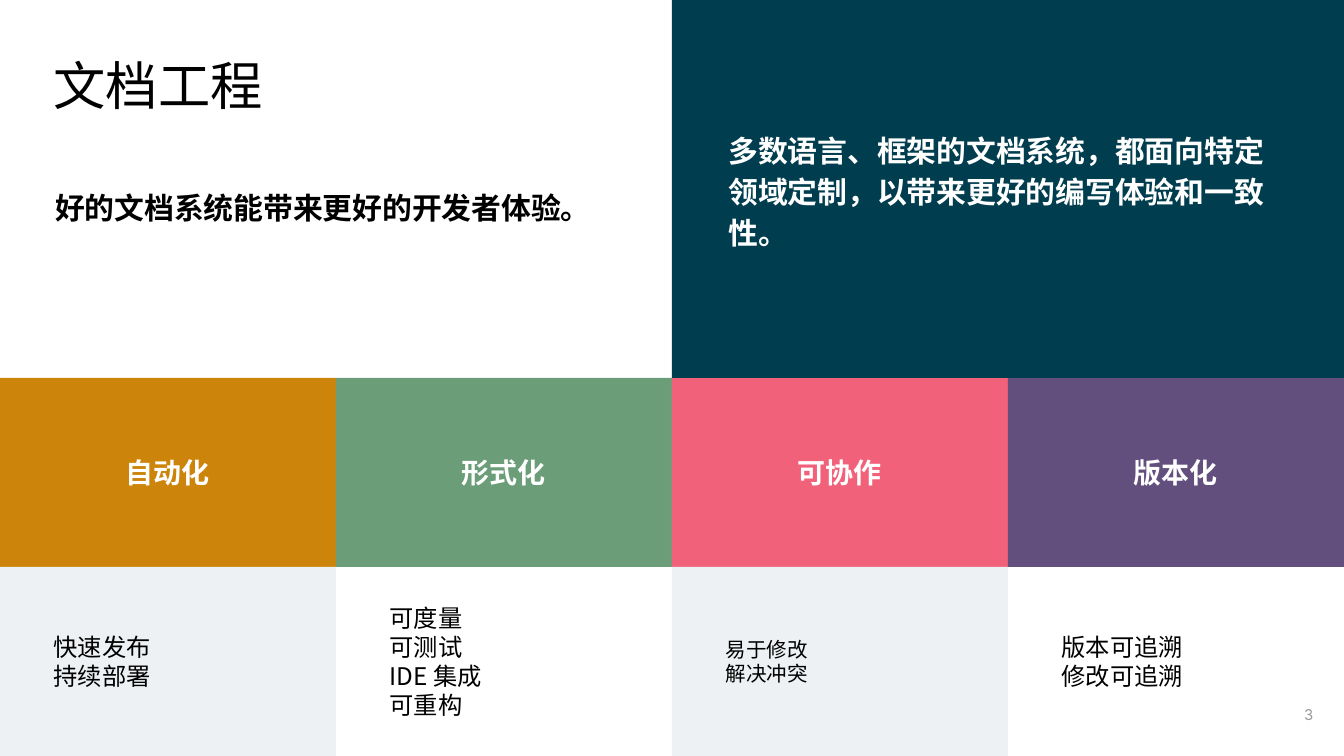
from dataclasses import dataclass

from lxml import etree
from pptx import Presentation
from pptx.dml.color import RGBColor
from pptx.enum.shapes import MSO_SHAPE
from pptx.enum.text import MSO_ANCHOR, PP_ALIGN
from pptx.oxml.ns import qn
from pptx.util import Inches, Pt

RECT = MSO_SHAPE.RECTANGLE
TOP, MIDDLE = MSO_ANCHOR.TOP, MSO_ANCHOR.MIDDLE
LEFT, CENTER, RIGHT = PP_ALIGN.LEFT, PP_ALIGN.CENTER, PP_ALIGN.RIGHT


@dataclass(frozen=True)
class Theme:
    cjk: str = "Noto Sans CJK SC"
    latin: str = "Inter"
    black: str = "000000"
    white: str = "FFFFFF"
    grey: str = "999999"
    pale: str = "EDF1F3"
    navy: str = "003D4F"
    title: int = 28
    lead: int = 16
    head: int = 15
    body: int = 13
    small: int = 11
    page: int = 8


THEME = Theme()
# Widescreen, 16 to 9
WIDTH = 10
HEIGHT = WIDTH * 9 / 16
PAD = (0.4, 0.1)

# Heading, fill, lines, text size, font
COLUMNS = [
    ("自动化", "CC850A", ["快速发布", "持续部署"], THEME.body, THEME.cjk),
    ("形式化", "6B9E78", ["可度量", "可测试", "IDE 集成", "可重构"],
     THEME.body, THEME.cjk),
    ("可协作", "F2617A", ["易于修改", "解决冲突"], THEME.small, THEME.latin),
    ("版本化", "634F7D", ["版本可追溯", "修改可追溯"], THEME.body, THEME.cjk),
]


def add_text(slide, box, lines, *, size, color=THEME.black, font=THEME.cjk,
             bold=False, align=LEFT, anchor=MIDDLE, pad=(0, 0), fill=None,
             spacing=None, after=None):
    """Place lines of text in a box, filled if a colour is given."""
    if fill:
        shape = add_panel(slide, box, fill)
    else:
        shape = slide.shapes.add_textbox(*[Inches(v) for v in box])
    frame = shape.text_frame
    frame.word_wrap = True
    frame.vertical_anchor = anchor
    frame.margin_left = frame.margin_right = Inches(pad[0])
    frame.margin_top = frame.margin_bottom = Inches(pad[1])
    for i, line in enumerate(lines):
        para = frame.paragraphs[0] if i == 0 else frame.add_paragraph()
        para.alignment = align
        if spacing:
            para.line_spacing = spacing
        if after:
            para.space_after = Pt(after)
        run = para.add_run()
        run.text = line
        run.font.size = Pt(size)
        run.font.bold = bold
        run.font.color.rgb = RGBColor.from_string(color)
        run.font.name = font
        # Chinese glyphs take their font from the East Asian slot
        east = etree.SubElement(run.font._element, qn("a:ea"))
        east.set("typeface", THEME.cjk)


def add_panel(slide, box, fill):
    """Draw a plain filled rectangle."""
    shape = slide.shapes.add_shape(RECT, *[Inches(v) for v in box])
    shape.shadow.inherit = False
    shape.fill.solid()
    shape.fill.fore_color.rgb = RGBColor.from_string(fill)
    shape.line.fill.background()
    return shape


def add_intro(slide, box):
    """Title and main statement."""
    x, y, w, h = box
    inner = w - 2 * PAD[0]
    add_text(slide, (x + 0.4, y + 0.4, inner, 1.06), ["文档工程"],
             size=THEME.title, anchor=TOP)
    add_text(slide, (x + 0.41, y + 1.37, inner, 0.47),
             ["好的文档系统能带来更好的开发者体验。"],
             size=THEME.lead, bold=True, anchor=TOP, spacing=1.15, after=12)


def add_quote(slide, box):
    """Dark panel with the supporting statement."""
    x, y, w, h = box
    add_panel(slide, box, THEME.navy)
    add_text(slide, (x + 0.42, y + 0.4, w - 0.82, h - 0.8),
             ["多数语言、框架的文档系统，都面向特定领域定制，以带来更好的编写体验和一致性。"],
             size=THEME.lead, color=THEME.white, bold=True, spacing=1.15, after=12)


def add_grid(slide, box):
    """Four columns, each a coloured heading above its details."""
    x, y, w, h = box
    wide, tall = w / len(COLUMNS), h / 2
    for i, (head, fill, lines, size, font) in enumerate(COLUMNS):
        left = x + i * wide
        add_text(slide, (left, y, wide, tall), [head], size=THEME.head,
                 color=THEME.white, bold=True, align=CENTER, pad=PAD, fill=fill)
        add_text(slide, (left, y + tall, wide, tall), lines, size=size,
                 font=font, pad=PAD, fill=None if i % 2 else THEME.pale)


def main():
    deck = Presentation()
    deck.slide_width, deck.slide_height = Inches(WIDTH), Inches(HEIGHT)
    slide = deck.slides.add_slide(deck.slide_layouts[6])
    half, mid = WIDTH / 2, HEIGHT / 2
    # Page number
    add_text(slide, (9.27, 5.1, 0.6, 0.43), ["3"], size=THEME.page,
             color=THEME.grey, font=THEME.latin, align=RIGHT, pad=(0.1, 0.1))
    add_grid(slide, (0, mid, WIDTH, mid))
    add_quote(slide, (half, 0, half, mid))
    add_intro(slide, (0, 0, half, mid))
    deck.save("out.pptx")


if __name__ == "__main__":
    main()
